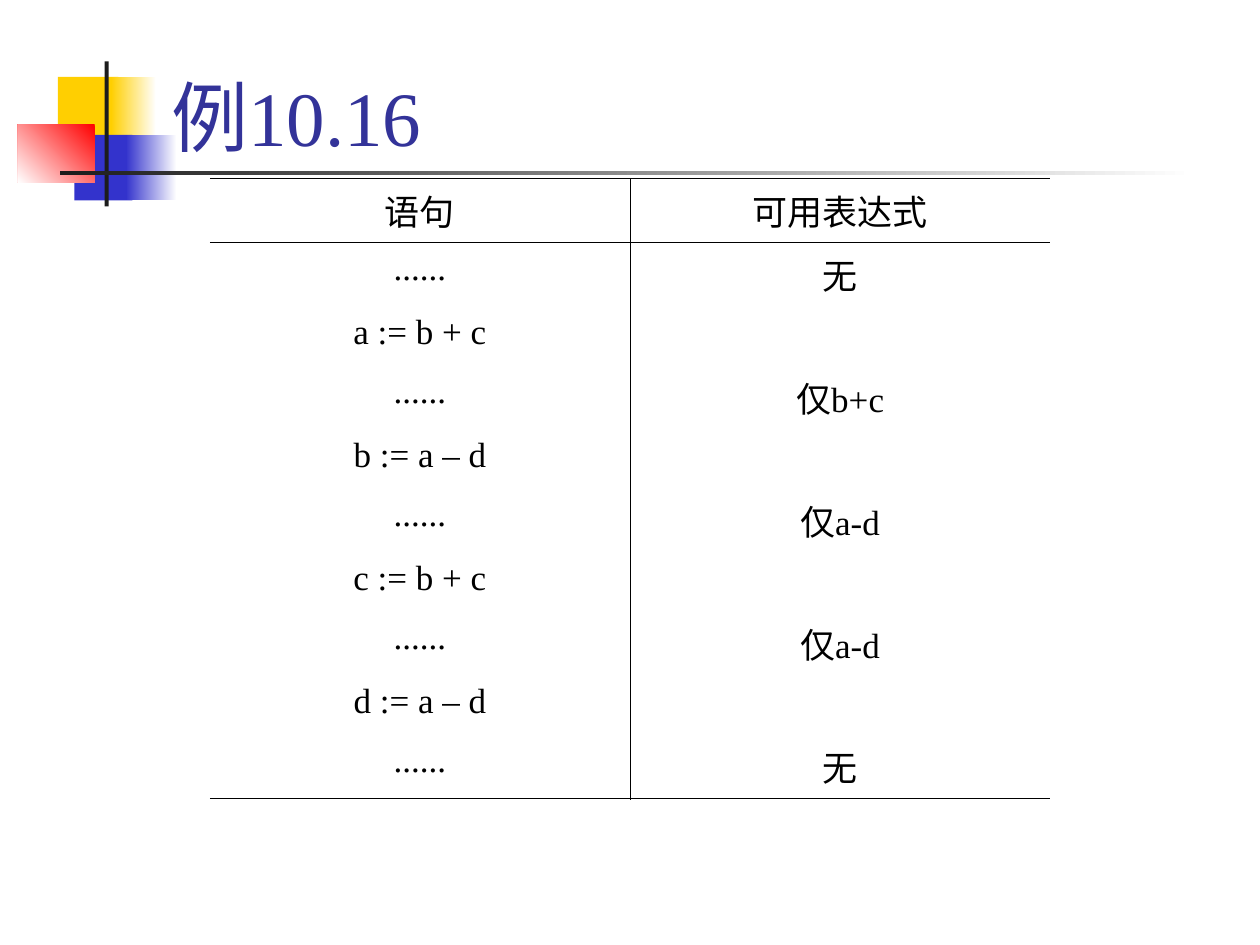
import pptx
import pptx.dml.color
import pptx.enum.shapes
import pptx.enum.text
import pptx.oxml
import pptx.oxml.ns
import pptx.util

Cm = pptx.util.Cm
Pt = pptx.util.Pt
ALIGN = pptx.enum.text.PP_ALIGN
ANCHOR = pptx.enum.text.MSO_ANCHOR

# Content
TITLE = "例10.16"
ROWS = [
    ("语句", "可用表达式"),
    ("......", "无"),
    ("a := b + c", ""),
    ("......", "仅b+c"),
    ("b := a – d", ""),
    ("......", "仅a-d"),
    ("c := b + c", ""),
    ("......", "仅a-d"),
    ("d := a – d", ""),
    ("......", "无"),
]

# Decoration: left, top, width, height (cm), colours, gradient angle
DECORATION = [
    (1.17, 1.55, 1.22, 1.32, ["FFCF01"], None),
    (2.24, 1.55, 0.91, 1.32, ["FFFFFF", "FFCF01"], 180),
    (1.5, 2.72, 1.17, 1.32, ["3333CC"], None),
    (2.54, 2.72, 1.02, 1.32, ["FFFFFF", "3333CC"], 180),
    (0.36, 2.51, 1.55, 1.17, ["FF0000", "FFFFFF"], 225),
    (2.11, 1.24, 0.08, 2.92, ["1C1C1C"], None),
    (1.22, 3.45, 22.86, 0.08, ["FFFFFF", "1C1C1C"], 180),
]

TABLE_LEFT, TABLE_TOP, COLUMN_WIDTH = 4.23, 3.6, 8.47
FULL_ROW, GAP_ROW = 1.29, 1.19
THIN, THICK = 0.45, 1.08


def rgb(value):
    return pptx.dml.color.RGBColor.from_string(value)


def write(frame, text, size=20, color="000000", align=ALIGN.LEFT, anchor=ANCHOR.TOP):
    frame.word_wrap = True
    frame.vertical_anchor = anchor
    paragraph = frame.paragraphs[0]
    paragraph.alignment = align
    run = paragraph.add_run()
    run.text = text
    run.font.name = "Times New Roman"
    run.font.size = Pt(size)
    run.font.color.rgb = rgb(color)


def add_block(slide, left, top, width, height, colors, angle):
    block = slide.shapes.add_shape(
        pptx.enum.shapes.MSO_SHAPE.RECTANGLE, Cm(left), Cm(top), Cm(width), Cm(height))
    block.shadow.inherit = False
    block.line.fill.background()
    if angle is None:
        block.fill.solid()
        block.fill.fore_color.rgb = rgb(colors[0])
    else:
        block.fill.gradient()
        block.fill.gradient_angle = angle
        for stop, color in zip(block.fill.gradient_stops, colors):
            stop.color.rgb = rgb(color)


def set_borders(cell, **widths):
    properties = cell._tc.get_or_add_tcPr()
    for side in "LRTB":
        width = widths.get(side)
        paint = '<a:solidFill><a:srgbClr val="000000"/></a:solidFill>' if width else "<a:noFill/>"
        properties.append(pptx.oxml.parse_xml(
            f'<a:ln{side} {pptx.oxml.ns.nsdecls("a")} w="{Pt(width or 0)}">{paint}</a:ln{side}>'))


def add_expression_table(slide):
    heights = [FULL_ROW if available else GAP_ROW for _, available in ROWS]
    table = slide.shapes.add_table(
        len(ROWS), 2, Cm(TABLE_LEFT), Cm(TABLE_TOP),
        Cm(2 * COLUMN_WIDTH), Cm(sum(heights))).table
    table.first_row = table.horz_banding = False
    for column in table.columns:
        column.width = Cm(COLUMN_WIDTH)
    last = len(ROWS) - 1
    for r, (texts, height) in enumerate(zip(ROWS, heights)):
        table.rows[r].height = Cm(height)
        for c, text in enumerate(texts):
            cell = table.cell(r, c)
            # Rules around the header, below the last row, between columns
            rules = {"L" if c else "R": THIN}
            if r <= 1:
                rules["T"] = THIN
            if r == 0:
                rules["B"] = THIN
            if r == last:
                rules["B"] = THICK
            set_borders(cell, **rules)
            cell.fill.background()
            if text:
                write(cell.text_frame, text, align=ALIGN.CENTER)


def main():
    deck = pptx.Presentation()
    deck.slide_width, deck.slide_height = Cm(25.4), Cm(19.05)
    slide = deck.slides.add_slide(deck.slide_layouts[6])

    for block in DECORATION:
        add_block(slide, *block)

    heading = slide.shapes.add_textbox(Cm(3.2), Cm(0.2), Cm(21.64), Cm(3.18))
    write(heading.text_frame, TITLE, size=44, color="333399", anchor=ANCHOR.BOTTOM)

    add_expression_table(slide)
    deck.save("out.pptx")


if __name__ == "__main__":
    main()
